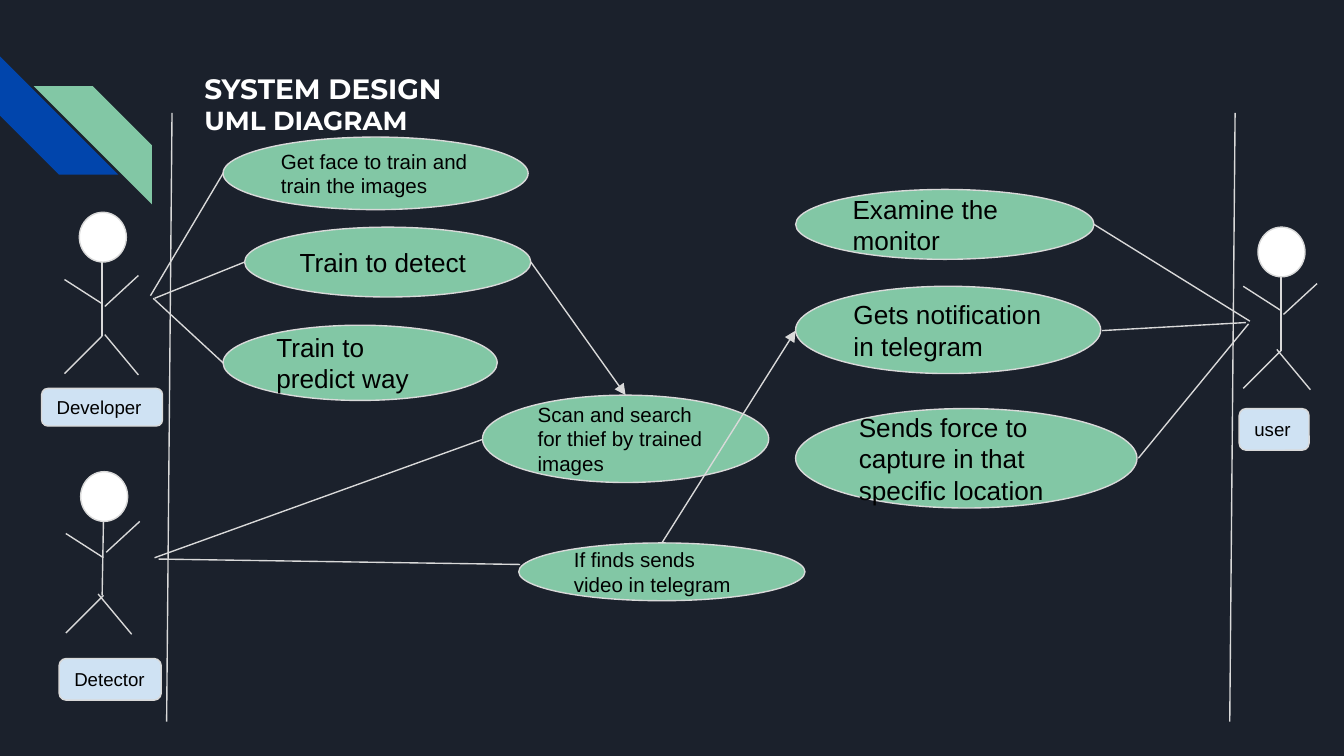
"""Build a UML use case slide with actors, use cases and links."""
from dataclasses import dataclass
from typing import Optional

from lxml.etree import SubElement
from pptx import Presentation
from pptx.dml.color import RGBColor
from pptx.enum.shapes import MSO_CONNECTOR, MSO_SHAPE
from pptx.enum.text import MSO_ANCHOR, MSO_AUTO_SIZE, PP_ALIGN
from pptx.oxml.ns import qn
from pptx.util import Inches, Pt

COLORS = {
    "night": "1B212C", "blue": "0145AC", "green": "82C7A5", "white": "FFFFFF",
    "line": "D9D9D9", "label": "CFE2F3", "black": "000000",
}


@dataclass
class Box:
    text: str
    x: float
    y: float
    w: float
    h: float
    size: int


@dataclass
class Actor:
    x: float
    y: float
    left: float
    right: float
    hip: float
    foot: float
    label: Box


@dataclass
class Link:
    x1: float
    y1: float
    x2: float
    y2: float
    arrow: bool = False
    start: Optional[str] = None
    end: Optional[str] = None


CASES = {
    "scan": Box("Scan and search for thief by trained images", 3.59, 2.94, 2.13, 0.65, 11),
    "find": Box("If finds sends video in telegram", 3.86, 4.04, 2.13, 0.43, 11),
    "face": Box("Get face to train and train the images", 1.66, 1.02, 2.27, 0.54, 11),
    "detect": Box("Train to detect", 1.82, 1.69, 2.13, 0.52, 14),
    "watch": Box("Examine the monitor", 5.92, 1.41, 2.22, 0.52, 14),
    "notice": Box("Gets notification in telegram", 5.92, 2.13, 2.27, 0.65, 14),
    "force": Box("Sends force to capture in that specific location", 5.92, 3.04, 2.54, 0.74, 14),
    "way": Box("Train to predict way", 1.66, 2.42, 2.04, 0.56, 14),
}
ACTORS = [
    Actor(0.59, 1.58, 0.5, 0.47, 0.17, 0.44, Box("Developer", 0.31, 2.89, 0.9, 0.28, 10)),
    Actor(0.6, 3.51, 0.46, 0.37, 0.16, 0.38, Box("Detector", 0.44, 4.9, 0.76, 0.31, 10)),
    Actor(9.36, 1.69, 0.44, 0.42, 0.17, 0.39, Box("user", 9.22, 3.04, 0.52, 0.31, 10)),
]
LINKS = [
    Link(1.28, 0.84, 1.24, 5.37), Link(9.19, 0.84, 9.15, 5.37),
    Link(1.12, 2.2, 1.66, 1.29), Link(1.15, 2.22, 1.82, 1.95),
    Link(1.14, 2.22, 1.66, 2.7), Link(3.59, 3.27, 1.15, 4.15),
    Link(1.18, 4.16, 3.87, 4.2), Link(8.14, 1.67, 9.3, 2.39),
    Link(8.2, 2.46, 9.27, 2.4), Link(8.47, 3.41, 9.29, 2.41),
    Link(3.95, 1.95, 4.65, 2.94, True, end="scan"),
    Link(4.93, 4.04, 5.92, 2.46, True, start="find"),
]


def tint(name: str) -> RGBColor:
    """Look up a colour by name."""
    return RGBColor.from_string(COLORS[name])


def add_run(para, text: str, size: int, font: str, color: str, bold: bool = False) -> None:
    """Add one styled run to a paragraph."""
    para.alignment = PP_ALIGN.LEFT
    run = para.add_run()
    run.text = text
    run.font.size = Pt(size)
    run.font.name = font
    run.font.bold = bold
    run.font.color.rgb = tint(color)


def pad(frame) -> None:
    """Give a text frame equal insets and word wrap."""
    frame.margin_left = frame.margin_right = Inches(0.1)
    frame.margin_top = frame.margin_bottom = Inches(0.1)
    frame.word_wrap = True


def add_form(slide, kind, x: float, y: float, w: float, h: float, color: str, edge: bool = True):
    """Draw a filled shape with or without an edge."""
    form = slide.shapes.add_shape(kind, Inches(x), Inches(y), Inches(w), Inches(h))
    form.shadow.inherit = False
    form.fill.solid()
    form.fill.fore_color.rgb = tint(color)
    if edge:
        form.line.color.rgb = tint("line")
        form.line.width = Pt(0.75)
    else:
        form.line.fill.background()
    return form


def add_box(slide, box: Box, kind, color: str):
    """Draw a shape that holds text."""
    form = add_form(slide, kind, box.x, box.y, box.w, box.h, color)
    frame = form.text_frame
    pad(frame)
    frame.vertical_anchor = MSO_ANCHOR.MIDDLE
    add_run(frame.paragraphs[0], box.text, box.size, "Arial", "black")
    return form


def add_link(slide, link: Link, forms: dict) -> None:
    """Draw a line, joined to the top of any named case."""
    line = slide.shapes.add_connector(
        MSO_CONNECTOR.STRAIGHT, Inches(link.x1), Inches(link.y1), Inches(link.x2), Inches(link.y2))
    line.line.color.rgb = tint("line")
    line.line.width = Pt(0.75)
    props = line._element.spPr
    SubElement(props, qn("a:effectLst"))
    if link.arrow:
        SubElement(props.find(qn("a:ln")), qn("a:tailEnd"), type="triangle")
    if link.start:
        line.begin_connect(forms[link.start], 0)
    if link.end:
        line.end_connect(forms[link.end], 0)


def add_actor(slide, actor: Actor) -> None:
    """Draw a stick figure and its label."""
    add_form(slide, MSO_SHAPE.OVAL, actor.x, actor.y, 0.35, 0.37, "white")
    limbs = [
        (0.17, 0.37, actor.hip, 0.92),
        (0.17, actor.left + 0.18, -0.11, actor.left),
        (0.44, actor.right, 0.19, actor.right + 0.23),
        (0.17, 0.92, -0.11, 1.2),
        (actor.foot, 1.21, actor.foot - 0.25, 0.91),
    ]
    for x1, y1, x2, y2 in limbs:
        add_link(slide, Link(actor.x + x1, actor.y + y1, actor.x + x2, actor.y + y2), {})
    add_box(slide, actor.label, MSO_SHAPE.ROUNDED_RECTANGLE, "label")


def add_title(slide) -> None:
    """Place and fill the title."""
    title = slide.shapes.title
    title.left, title.top = Inches(1.42), Inches(0.43)
    title.width, title.height = Inches(7.7), Inches(0.31)
    frame = title.text_frame
    pad(frame)
    frame.auto_size = MSO_AUTO_SIZE.NONE
    frame.vertical_anchor = MSO_ANCHOR.TOP
    add_run(frame.paragraphs[0], "SYSTEM DESIGN", 15, "Montserrat", "white", True)
    add_run(frame.add_paragraph(), "UML DIAGRAM", 14, "Montserrat", "white", True)


def main() -> None:
    """Build and save the slide."""
    deck = Presentation()
    deck.slide_width, deck.slide_height = Inches(10), Inches(10 * 9 / 16)
    slide = deck.slides.add_slide(deck.slide_layouts[5])
    slide.background.fill.solid()
    slide.background.fill.fore_color.rgb = tint("night")
    for x, y, color, turn in [(0, 0.42, "blue", 270), (0.25, 0.64, "green", 90)]:
        stripe = add_form(slide, MSO_SHAPE.DIAGONAL_STRIPE, x, y, 0.88, 0.88, color, False)
        stripe.rotation = turn
    add_title(slide)
    forms = {key: add_box(slide, case, MSO_SHAPE.OVAL, "green") for key, case in CASES.items()}
    for actor in ACTORS:
        add_actor(slide, actor)
    for link in LINKS:
        add_link(slide, link, forms)
    deck.save("out.pptx")


if __name__ == "__main__":
    main()
